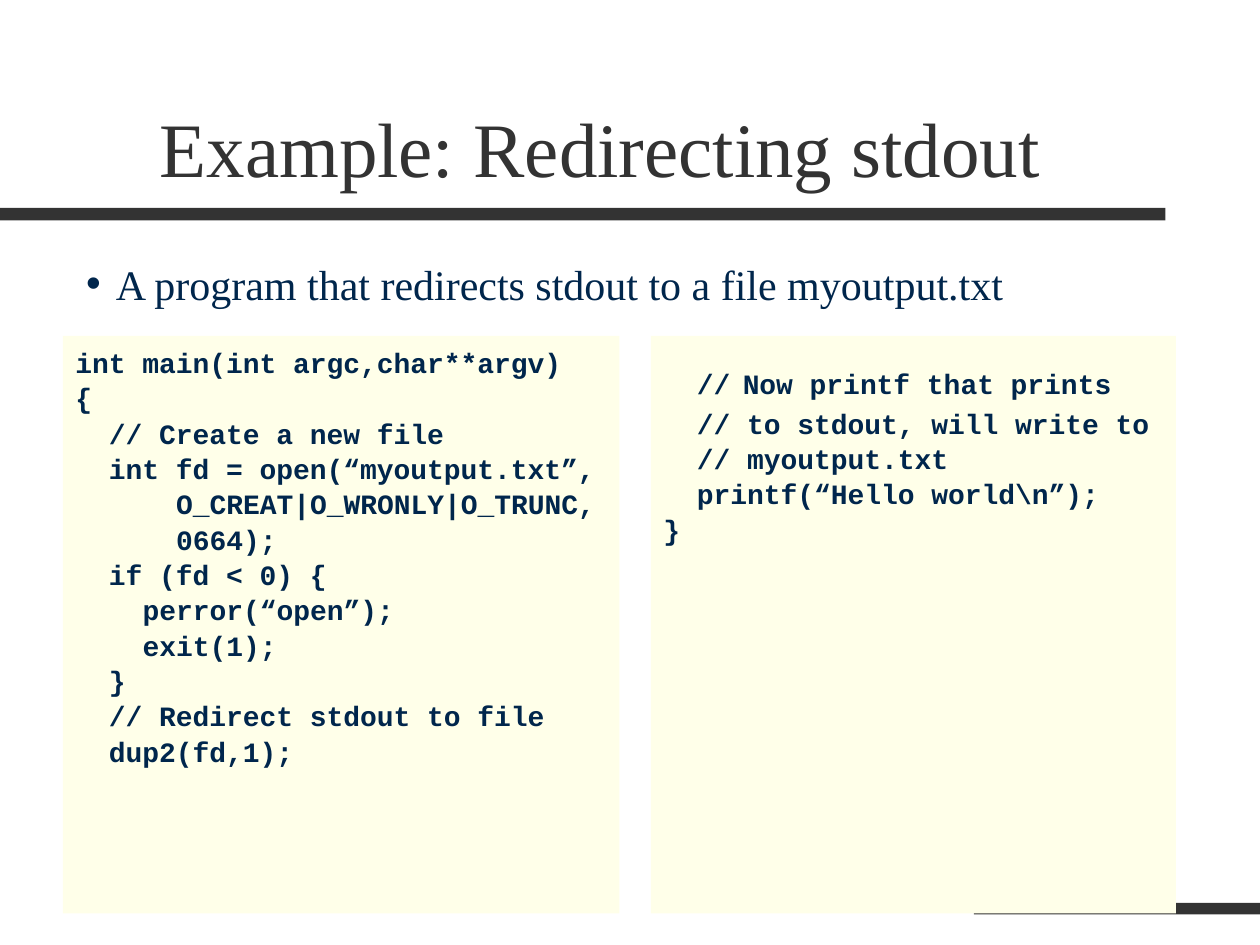
import pptx
import pptx.dml.color
import pptx.enum.shapes
import pptx.enum.text
import pptx.util
from lxml import etree

Pt = pptx.util.Pt
RGBColor = pptx.dml.color.RGBColor

CHARCOAL = RGBColor(0x33, 0x33, 0x33)
NAVY = RGBColor(0x00, 0x26, 0x4C)
CREAM = RGBColor(0xFF, 0xFF, 0xE9)
SERIF, MONO = "Times New Roman", "Courier New"
CODE_SIZE = 16
CHAR_WIDTH = 0.6 * CODE_SIZE

# Each code line is its indent in characters and its text
SETUP_CODE = [
    (0, "int main(int argc,char**argv)"),
    (0, "{"),
    (2, "// Create a new file"),
    (2, "int fd = open(“myoutput.txt”,"),
    (6, "O_CREAT|O_WRONLY|O_TRUNC,"),
    (6, "0664);"),
    (2, "if (fd < 0) {"),
    (4, "perror(“open”);"),
    (4, "exit(1);"),
    (2, "}"),
    (2, "// Redirect stdout to file"),
    (2, "dup2(fd,1);"),
]
PRINT_CODE = [
    (2, "// Now printf that prints"),
    (2, "// to stdout, will write to"),
    (2, "// myoutput.txt"),
    (2, "printf(“Hello world\\n”);"),
    (0, "}"),
]


def place(part, box):
    part.left, part.top, part.width, part.height = (Pt(v) for v in box)


def style(font, name, size, color, bold=False):
    font.name, font.size, font.bold = name, Pt(size), bold
    font.color.rgb = color


def set_indent(paragraph, left, first=0):
    properties = paragraph._p.get_or_add_pPr()
    properties.set("marL", str(Pt(left)))
    properties.set("indent", str(Pt(first)))
    return properties


def add_block(slide, box, color):
    block = slide.shapes.add_shape(
        pptx.enum.shapes.MSO_SHAPE.RECTANGLE, *(Pt(v) for v in box))
    block.shadow.inherit = False
    block.fill.solid()
    block.fill.fore_color.rgb = color
    block.line.fill.background()
    return block


def fill_title(slide, box):
    title = slide.shapes.title
    place(title, box)
    frame = title.text_frame
    frame.text = "Example: Redirecting stdout"
    frame.vertical_anchor = pptx.enum.text.MSO_ANCHOR.BOTTOM
    heading = frame.paragraphs[0]
    heading.alignment = pptx.enum.text.PP_ALIGN.LEFT
    style(heading.font, SERIF, 44, CHARCOAL)


def fill_summary(slide, box):
    body = slide.placeholders[1]
    place(body, box)
    body.text_frame.text = "A program that redirects stdout to a file myoutput.txt"
    summary = body.text_frame.paragraphs[0]
    summary.space_before = Pt(0)
    style(summary.font, SERIF, 24, NAVY)
    properties = set_indent(summary, 17, -17)
    bullet = etree.SubElement(properties, pptx.oxml.ns.qn("a:buChar"))
    bullet.set("char", "•")


def add_code(slide, box, lines):
    panel = add_block(slide, box, CREAM)
    frame = panel.text_frame
    frame.word_wrap = True
    frame.vertical_anchor = pptx.enum.text.MSO_ANCHOR.TOP
    frame.margin_top = Pt(5.5)
    for number, (indent, text) in enumerate(lines):
        line = frame.add_paragraph() if number else frame.paragraphs[0]
        line.alignment = pptx.enum.text.PP_ALIGN.LEFT
        line.space_before = Pt(1)
        set_indent(line, indent * CHAR_WIDTH)
        style(line.font, MONO, CODE_SIZE, NAVY, bold=True)
        line.text = text
    return frame


def enlarge_comment_space(line):
    """Set the space after the comment mark in a larger serif face."""
    mark, rest = line.text.split(" ", 1)
    line.runs[0].text = mark
    space = line.add_run()
    space.text = " "
    style(space.font, SERIF, 28, NAVY)
    line.add_run().text = rest


def build_slide(deck):
    slide = deck.slides.add_slide(deck.slide_layouts[1])

    # Rules below the title and at the foot
    add_block(slide, (0, 118.8, 666, 7.2), CHARCOAL)
    add_block(slide, (556.5, 516, 163.5, 6.5), CHARCOAL)

    # Title and summary
    fill_title(slide, (84, 24, 612, 90))
    fill_summary(slide, (42, 144, 636, 36))

    # Code in two panels
    add_code(slide, (36, 192, 318, 330), SETUP_CODE)
    print_frame = add_code(slide, (372, 192, 300, 330), PRINT_CODE)
    enlarge_comment_space(print_frame.paragraphs[0])


def main():
    deck = pptx.Presentation()
    deck.slide_width, deck.slide_height = Pt(720), Pt(540)
    build_slide(deck)
    deck.save("out.pptx")


if __name__ == "__main__":
    main()
